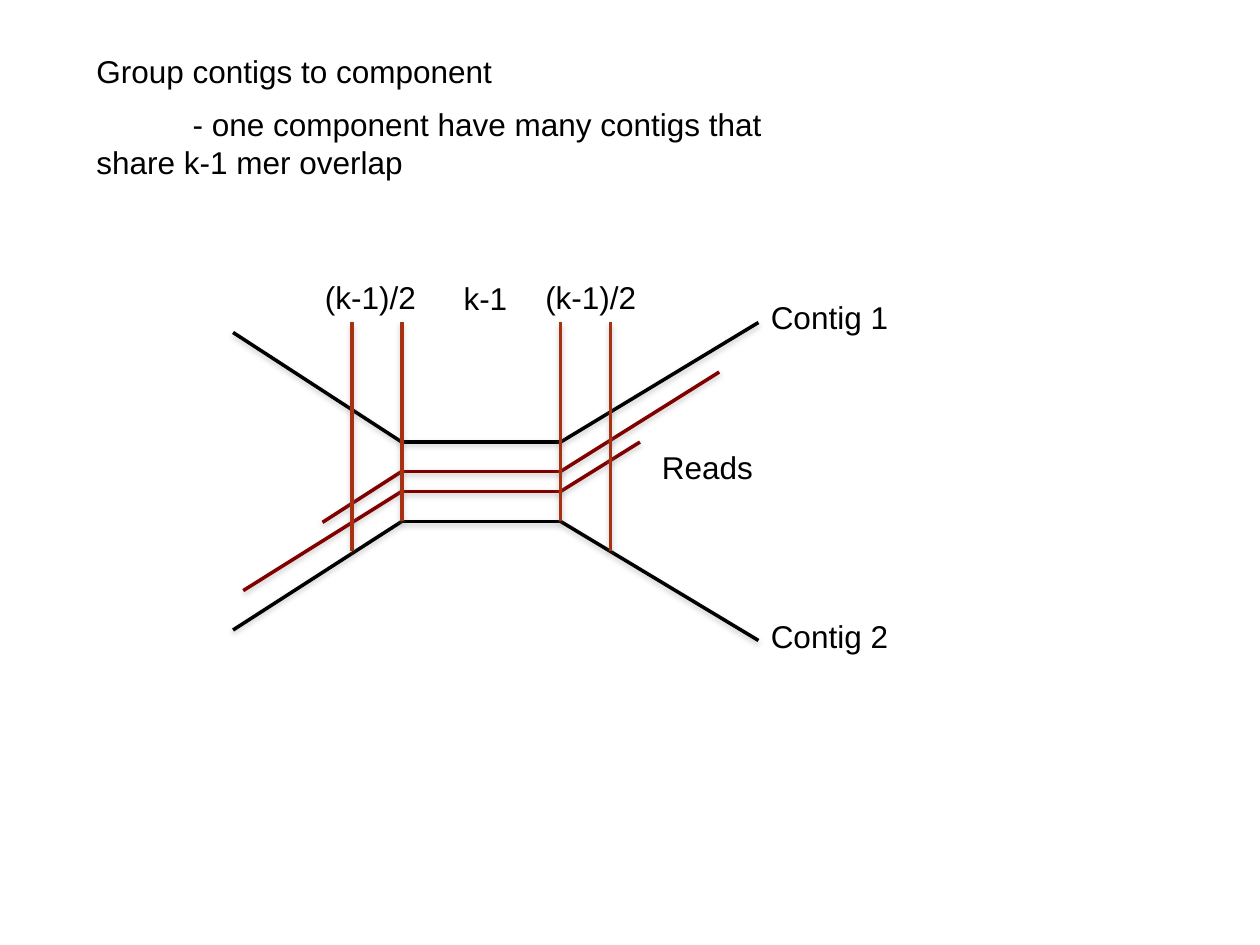
"""Build the slide on grouping contigs by k-1 mer overlap."""
from dataclasses import dataclass
from itertools import pairwise

from lxml import etree
from pptx import Presentation
from pptx.dml.color import RGBColor
from pptx.enum.shapes import MSO_CONNECTOR
from pptx.enum.text import MSO_AUTO_SIZE
from pptx.oxml.ns import qn
from pptx.util import Pt

STRAIGHT = MSO_CONNECTOR.STRAIGHT
GROW = MSO_AUTO_SIZE.SHAPE_TO_FIT_TEXT


@dataclass(frozen=True)
class Theme:
    """Colours, type and line sizes."""
    font: str = "Arial"
    size: float = 18
    width: float = 2
    ink: str = "000000"
    read: str = "800000"
    mark: str = "A63212"
    shade: str = "808080"
    alpha: int = 38000


class Deck:
    """Holds the theme, the slide and the group that makes up the diagram."""

    def __init__(self, theme):
        """Open a blank slide."""
        self.theme = theme
        self.prs = Presentation()
        self.prs.slide_width, self.prs.slide_height = Pt(720), Pt(540)
        self.slide = self.prs.slides.add_slide(self.prs.slide_layouts[6])
        self.group = self.slide.shapes.add_group_shape()

    def shadow(self, line):
        """Give a line a soft shadow below it."""
        effects = etree.SubElement(line._element.spPr, qn("a:effectLst"))
        outer = etree.SubElement(
            effects, qn("a:outerShdw"), blurRad=str(Pt(3.1)),
            dist=str(Pt(1.6)), dir="5400000", rotWithShape="0")
        tint = etree.SubElement(outer, qn("a:srgbClr"), val=self.theme.shade)
        etree.SubElement(tint, qn("a:alpha"), val=str(self.theme.alpha))

    def chain(self, color, *points):
        """Join points with straight lines."""
        for start, end in pairwise(points):
            ends = [Pt(n) for n in (*start, *end)]
            line = self.group.shapes.add_connector(STRAIGHT, *ends)
            line.line.color.rgb = RGBColor.from_string(color)
            line.line.width = Pt(self.theme.width)
            self.shadow(line)

    def style(self, frame):
        """Format all runs of a text frame."""
        for para in frame.paragraphs:
            for run in para.runs:
                run.font.name = self.theme.font
                run.font.size = Pt(self.theme.size)
                run.font.color.rgb = RGBColor.from_string(self.theme.ink)

    def label(self, text, left, top, width):
        """Add a one-line label to the diagram."""
        box = self.group.shapes.add_textbox(
            Pt(left), Pt(top), Pt(width), Pt(29))
        frame = box.text_frame
        frame.word_wrap = False
        frame.auto_size = GROW
        frame.text = text
        self.style(frame)

    def body(self, lines, left, top, width, height):
        """Add wrapped text with a first-line indent after the first paragraph."""
        box = self.slide.shapes.add_textbox(
            Pt(left), Pt(top), Pt(width), Pt(height))
        frame = box.text_frame
        frame.word_wrap = True
        frame.text = "\n".join(lines)
        for para in frame.paragraphs:
            para.space_before = Pt(self.theme.size / 2)
        for para in frame.paragraphs[1:]:
            para._p.get_or_add_pPr().set("indent", str(Pt(55)))
        self.style(frame)


def main():
    """Draw the slide and save it."""
    theme = Theme()
    deck = Deck(theme)
    left, right = 229.6, 320.4
    top, upper, lower, base = 252.6, 269.4, 280.8, 298

    deck.chain(theme.ink, (133.2, 190), (left, top), (right, top), (433.4, 184.3))
    deck.chain(theme.ink, (133.2, 360), (left, base), (right, base), (433.4, 366))
    deck.chain(theme.read, (184.3, 298.5), (left, upper), (right, upper), (411, 212.6))
    deck.chain(theme.read, (139, 337.5), (left, lower), (right, lower), (365.7, 252.6))

    for x, end in ((left, base), (right, base),
                   (left - 28.4, 314.8), (right + 28.4, 314.8)):
        deck.chain(theme.mark, (x, 184.3), (x, end))

    for args in (("Contig 1", 433.4, 167, 81.4), ("Contig 2", 433.4, 349, 81.4),
                 ("Reads", 371.2, 252.5, 66.2), ("k-1", 257.8, 156, 39.6),
                 ("(k-1)/2", 178.6, 155.5, 66.2), ("(k-1)/2", 304.5, 155.5, 66.2)):
        deck.label(*args)

    deck.body(("Group contigs to component",
               "- one component have many contigs that share k-1 mer overlap"),
              48, 26, 396.7, 115)
    deck.prs.save("out.pptx")


if __name__ == "__main__":
    main()
